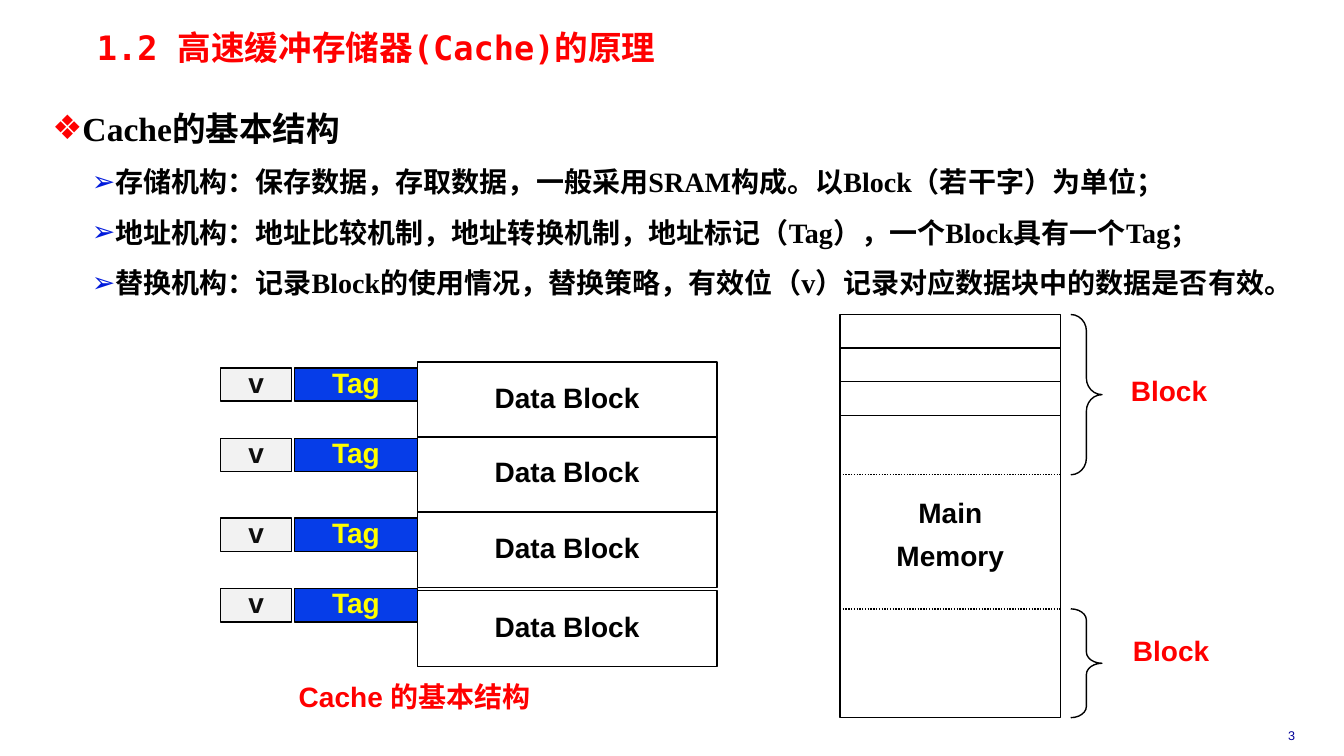
from lxml import etree
from pptx import Presentation
from pptx import util as u
from pptx.dml.color import RGBColor
from pptx.enum import dml, shapes, text
from pptx.oxml.ns import qn

BLACK, RED, BLUE = "000000", "FF0000", "001ADC"

deck = Presentation()
deck.slide_width, deck.slide_height = u.Inches(13.33), u.Inches(7.5)
slide = deck.slides.add_slide(deck.slide_layouts[1])


def write(shape, lines, size=20, font="Arial", color=BLACK, bold=True, align="CENTER",
          anchor="TOP", spacing=0.85, gap=0, wrap=True, inset=(0.1, 0.05), bullets=()):
    """Fill a shape with lines; bullets holds (sign, colour, left, hang, size) for each line."""
    frame = shape.text_frame
    frame.word_wrap = wrap
    frame.auto_size = text.MSO_AUTO_SIZE.NONE
    frame.vertical_anchor = text.MSO_ANCHOR[anchor]
    frame.margin_left = frame.margin_right = u.Inches(inset[0])
    frame.margin_top = frame.margin_bottom = u.Inches(inset[1])
    for i, line in enumerate(lines):
        para = frame.paragraphs[0] if i == 0 else frame.add_paragraph()
        line_size = size
        if bullets:
            sign, sign_color, left, hang, line_size = bullets[i]
            para.level = min(i, 1)
            props = para._p.get_or_add_pPr()
            props.set("marL", str(u.Inches(left)))
            props.set("indent", str(-u.Inches(hang)))
            tint = etree.SubElement(props, qn("a:buClr"))
            etree.SubElement(tint, qn("a:srgbClr"), val=sign_color)
            etree.SubElement(props, qn("a:buChar"), char=sign)
        para.alignment = text.PP_ALIGN[align]
        para.line_spacing = spacing
        para.space_before = u.Pt(gap if i else 0)
        run = para.add_run()
        run.text = line
        run.font.size, run.font.name, run.font.bold = u.Pt(line_size), font, bold
        run.font.color.rgb = RGBColor.from_string(color)


def draw(kind, left, top, width, height, fill=None):
    shape = slide.shapes.add_shape(shapes.MSO_SHAPE[kind], *map(u.Inches, (left, top, width, height)))
    shape.shadow.inherit = False
    shape.line.color.rgb = RGBColor.from_string(BLACK)
    shape.line.width = u.Pt(1)
    if fill:
        shape.fill.solid()
        shape.fill.fore_color.rgb = RGBColor.from_string(fill)
    else:
        shape.fill.background()
    return shape


# Title and list
title, body = slide.shapes.title, slide.placeholders[1]
for holder, place in ((title, (0.89, 0.29, 7.67, 0.41)), (body, (0.45, 0.84, 12.6, 2.62))):
    holder.left, holder.top, holder.width, holder.height = map(u.Inches, place)
write(title, ["1.2 高速缓冲存储器(Cache)的原理"], size=24, font="DejaVu Sans Mono", color=RED,
      align="LEFT", spacing=0.87, inset=(0.07, 0.03))
write(body, ["Cache的基本结构",
             "存储机构：保存数据，存取数据，一般采用SRAM构成。以Block（若干字）为单位；",
             "地址机构：地址比较机制，地址转换机制，地址标记（Tag），一个Block具有一个Tag；",
             "替换机构：记录Block的使用情况，替换策略，有效位（v）记录对应数据块中的数据是否有效。"],
      font="Times New Roman", align="LEFT", spacing=1.5, inset=(0.07, 0.03),
      bullets=[("❖", RED, 0.23, 0.23, 24)] + [("➢", BLUE, 0.55, 0.16, 20)] * 3)

# Main memory: three words, then the rest
memory_left, memory_width, memory_top, memory_bottom = 8.33, 2.19, 3.12, 7.12
word_height = 1 / 3
for word in range(3):
    draw("RECTANGLE", memory_left, memory_top + word * word_height, memory_width, word_height)
rest_top = memory_top + 3 * word_height
draw("RECTANGLE", memory_left, rest_top, memory_width, memory_bottom - rest_top)

first_block_end, last_block_start = 4.71, 6.04
for y in (first_block_end, last_block_start):
    border = slide.shapes.add_connector(
        shapes.MSO_CONNECTOR.STRAIGHT, *map(u.Inches, (memory_left, y, memory_left + memory_width, y)))
    border.line.color.rgb = RGBColor.from_string(BLACK)
    border.line.width = u.Pt(1)
    border.line.dash_style = dml.MSO_LINE.ROUND_DOT
    etree.SubElement(border._element.spPr, qn("a:effectLst"))

for top, bottom, bend in ((memory_top, first_block_end, 0.528), (last_block_start, memory_bottom, 0.361)):
    brace = draw("RIGHT_BRACE", 10.62, top, 0.31, bottom - top)
    brace.adjustments[0], brace.adjustments[1] = bend, 0.5

# Cache lines: valid bit, tag and data block
for label_top, block_top in ((3.65, 3.59), (4.35, 4.33), (5.14, 5.08), (5.84, 5.86)):
    for label, left, top, width, height, fill, color in (
            ("Data Block", 4.14, block_top, 2.97, 0.75, None, BLACK),
            ("Tag", 2.92, label_top, 1.22, 0.33, "063DE8", "FFFF00"),
            ("v", 2.19, label_top, 0.7, 0.33, "F2F2F2", "0D0D0D")):
        write(draw("RECTANGLE", left, top, width, height, fill), [label],
              color=color, anchor="MIDDLE", wrap=False)

# Captions and page number
for lines, place, look in (
        (["Cache 的基本结构"], (2.19, 6.74, 3.85, 0.39), {"color": RED}),
        (["Block"], (10.92, 3.71, 1.35, 0.39), {"color": RED}),
        (["Block"], (10.94, 6.29, 1.35, 0.39), {"color": RED}),
        (["Main", "Memory"], (memory_left, 4.92, memory_width, 0.84), {"gap": 10}),
        (["3"], (12.34, 7.17, 0.94, 0.25),
         {"size": 9, "color": "000099", "bold": False, "spacing": 1.0})):
    write(slide.shapes.add_textbox(*map(u.Inches, place)), lines, **look)

deck.save("out.pptx")
